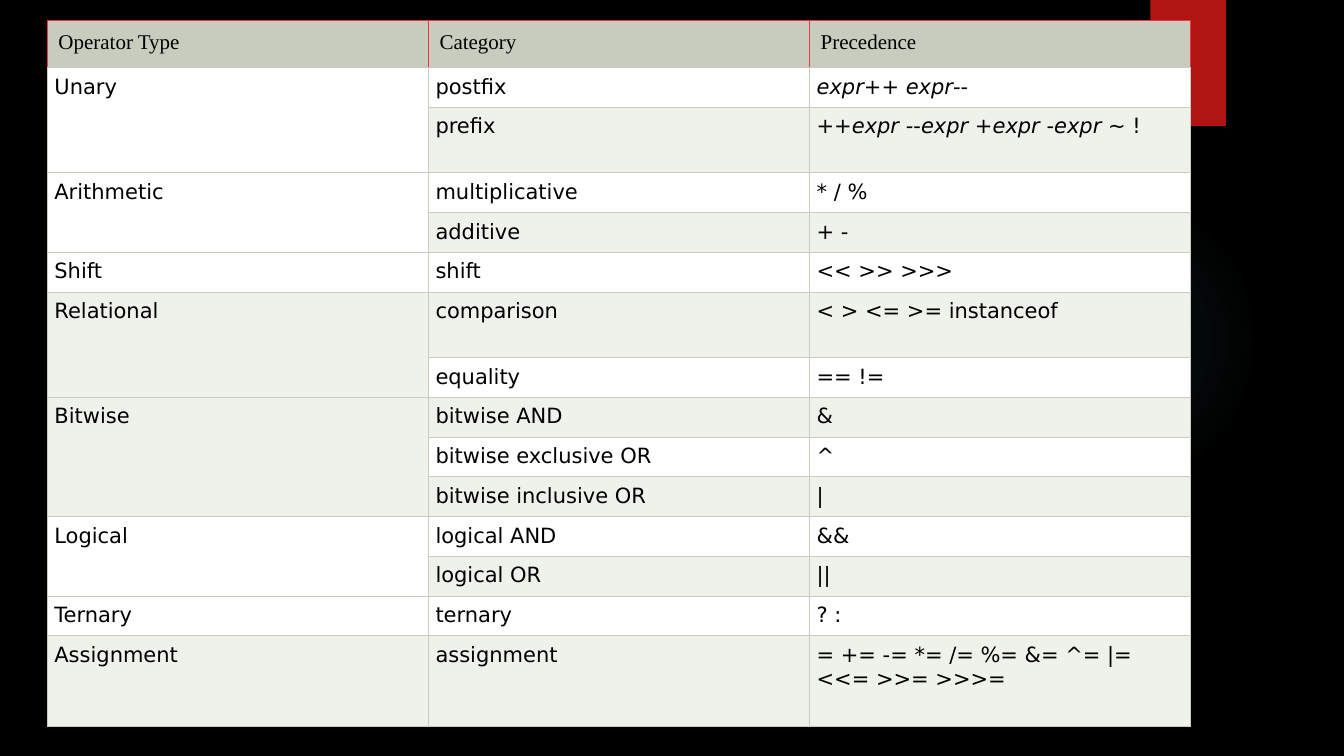
from lxml import etree
from pptx import Presentation
from pptx.dml.color import RGBColor as RGB
from pptx.enum.shapes import MSO_SHAPE as SHAPE
from pptx.oxml import parse_xml
from pptx.oxml.ns import nsdecls, qn
from pptx.util import Inches, Pt

COLORS = {"back": "000000", "text": "000000", "tab": "B01513", "glow": "50B9C1",
          "header": "C7CCBE", "grid": "C7CCBE", "edge": "F03243",
          "odd": "FFFFFF", "even": "EFF1EB"}
HEADINGS = ["Operator Type", "Category", "Precedence"]
OPERATORS = [
    ("Unary", [("postfix", "expr++ expr--"),
               ("prefix", "++expr --expr +expr -expr ~ !")]),
    ("Arithmetic", [("multiplicative", "* / %"), ("additive", "+ -")]),
    ("Shift", [("shift", "<< >> >>>")]),
    ("Relational", [("comparison", "< > <= >= instanceof"), ("equality", "== !=")]),
    ("Bitwise", [("bitwise AND", "&"), ("bitwise exclusive OR", "^"),
                 ("bitwise inclusive OR", "|")]),
    ("Logical", [("logical AND", "&&"), ("logical OR", "||")]),
    ("Ternary", [("ternary", "? :")]),
    ("Assignment", [("assignment", "= += -= *= /= %= &= ^= |= <<= >>= >>>=")]),
]
GLOW_STOPS = [(0, 7), (36, 6), (69, 0)]
LEFT, TOP, WIDTH, HEIGHT = 0.47, 0.2, 11.34, 7.01
TALL_ROWS = {"Operator Type": 0.47, "prefix": 0.65, "comparison": 0.65, "assignment": 0.9}


def color(name):
    return RGB.from_string(COLORS[name])


def add_block(s, shape, left, top, width, height, fill):
    sp = s.shapes.add_shape(shape, *map(Inches, (left, top, width, height)))
    sp.shadow.inherit = False
    sp.line.fill.background()
    sp.fill.solid()
    sp.fill.fore_color.rgb = color(fill)
    return sp


def add_glow(sp):
    stops = "".join(
        f'<a:gs pos="{pos * 1000}"><a:srgbClr val="{COLORS["glow"]}">'
        f'<a:alpha val="{alpha * 1000}"/></a:srgbClr></a:gs>' for pos, alpha in GLOW_STOPS)
    grad = parse_xml(
        f'<a:gradFill {nsdecls("a")} rotWithShape="1"><a:gsLst>{stops}</a:gsLst>'
        '<a:path path="circle"><a:fillToRect l="50000" t="50000" r="50000" b="50000"/>'
        '</a:path></a:gradFill>')
    props = sp._element.spPr
    props.replace(props.find(qn("a:solidFill")), grad)


def set_borders(cell, edges):
    props = cell._tc.get_or_add_tcPr()
    for i, (side, name) in enumerate(zip("LRTB", edges)):
        ln = etree.Element(qn(f"a:ln{side}"), w=str(Pt(0.75)))
        fill = etree.SubElement(ln, qn("a:solidFill"))
        etree.SubElement(fill, qn("a:srgbClr"), val=COLORS[name])
        props.insert(i, ln)


def fill_cell(cell, text, fill, font, inset, edges):
    cell.fill.solid()
    cell.fill.fore_color.rgb = color(fill)
    cell.margin_left = cell.margin_right = Inches(inset)
    cell.margin_top = cell.margin_bottom = Inches(inset)
    set_borders(cell, edges)
    p = cell.text_frame.paragraphs[0]
    for i, part in enumerate(text.split("expr")):
        for piece, italic in [("expr", True)] * (i > 0) + [(part, False)]:
            if piece:
                r = p.add_run()
                r.text = piece
                r.font.size = Pt(15)
                r.font.name = font
                r.font.italic = italic
                r.font.color.rgb = color("text")


def add_operator_table(s):
    rows = [(kind if i == 0 else "", *pair)
            for kind, pairs in OPERATORS for i, pair in enumerate(pairs)]
    count = len(rows) + 1
    table = s.shapes.add_table(count, len(HEADINGS),
                               *map(Inches, (LEFT, TOP, WIDTH, HEIGHT))).table
    table.first_row = table.horz_banding = False
    for col in table.columns:
        col.width = Inches(WIDTH / len(HEADINGS))

    plain = (HEIGHT - sum(TALL_ROWS.values())) / (count - len(TALL_ROWS))
    labels = [HEADINGS[0]] + [category for _, category, _ in rows]
    for row, label in zip(table.rows, labels):
        row.height = Inches(TALL_ROWS.get(label, plain))

    for c, heading in enumerate(HEADINGS):
        fill_cell(table.cell(0, c), heading, "header", "Times New Roman", 0.11,
                  ["edge", "edge", "edge", "grid"])
    for n, row in enumerate(rows, 1):
        for c, text in enumerate(row):
            fill_cell(table.cell(n, c), text, "odd" if n % 2 else "even",
                      "DejaVu Sans", 0.07, ["grid"] * 4)

    first = 1
    for _, pairs in OPERATORS:
        last = first + len(pairs) - 1
        if last > first:
            table.cell(first, 0).merge(table.cell(last, 0))
        first = last + 1


def main():
    prs = Presentation()
    prs.slide_width, prs.slide_height = Inches(13.33), Inches(7.5)
    s = prs.slides.add_slide(prs.slide_layouts[6])
    s.background.fill.solid()
    s.background.fill.fore_color.rgb = color("back")
    add_glow(add_block(s, SHAPE.OVAL, 9.41, 1.83, 3.08, 3.08, "glow"))
    add_block(s, SHAPE.RECTANGLE, 11.41, 0, 0.75, 1.25, "tab")
    add_operator_table(s)
    prs.save("out.pptx")


if __name__ == "__main__":
    main()
